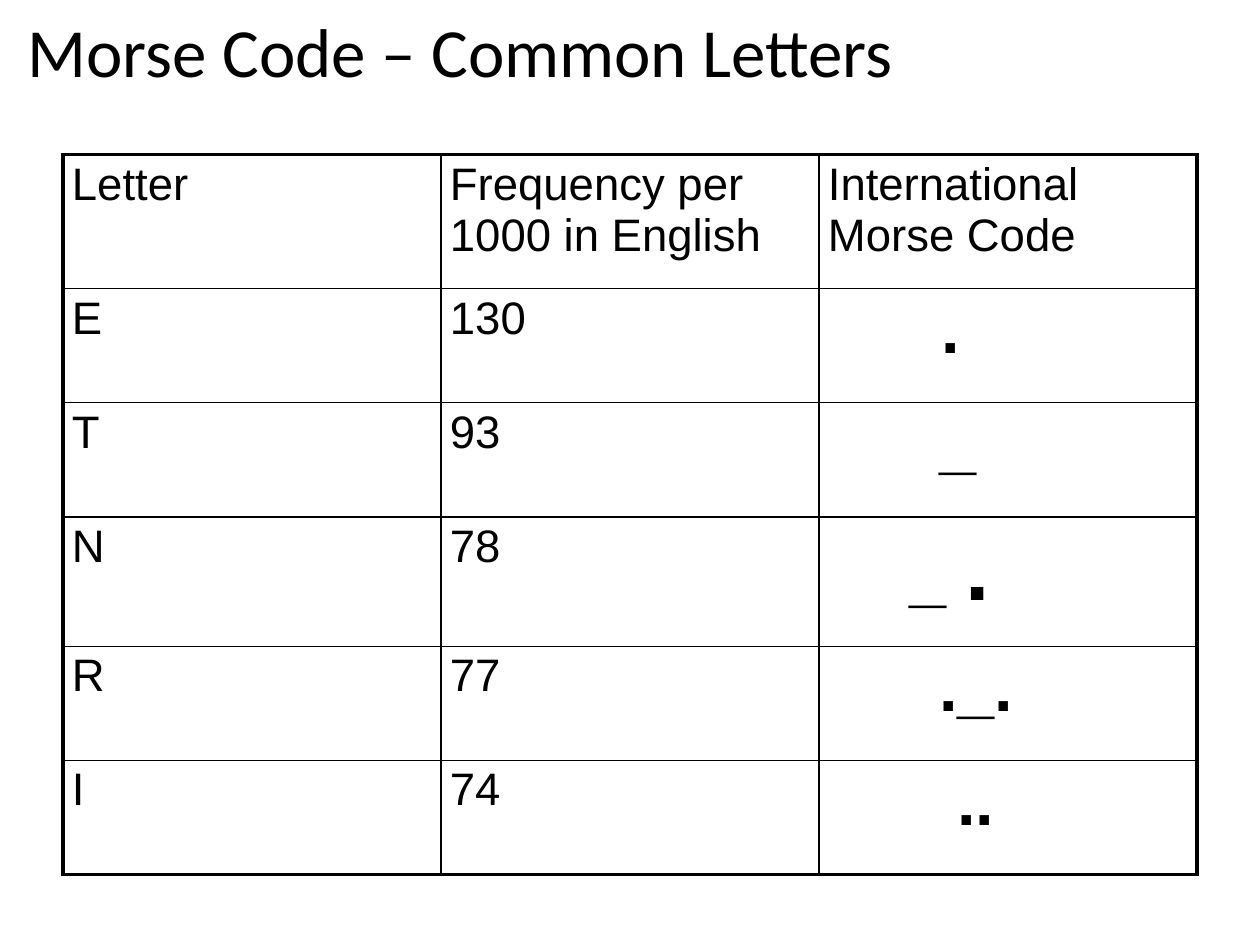
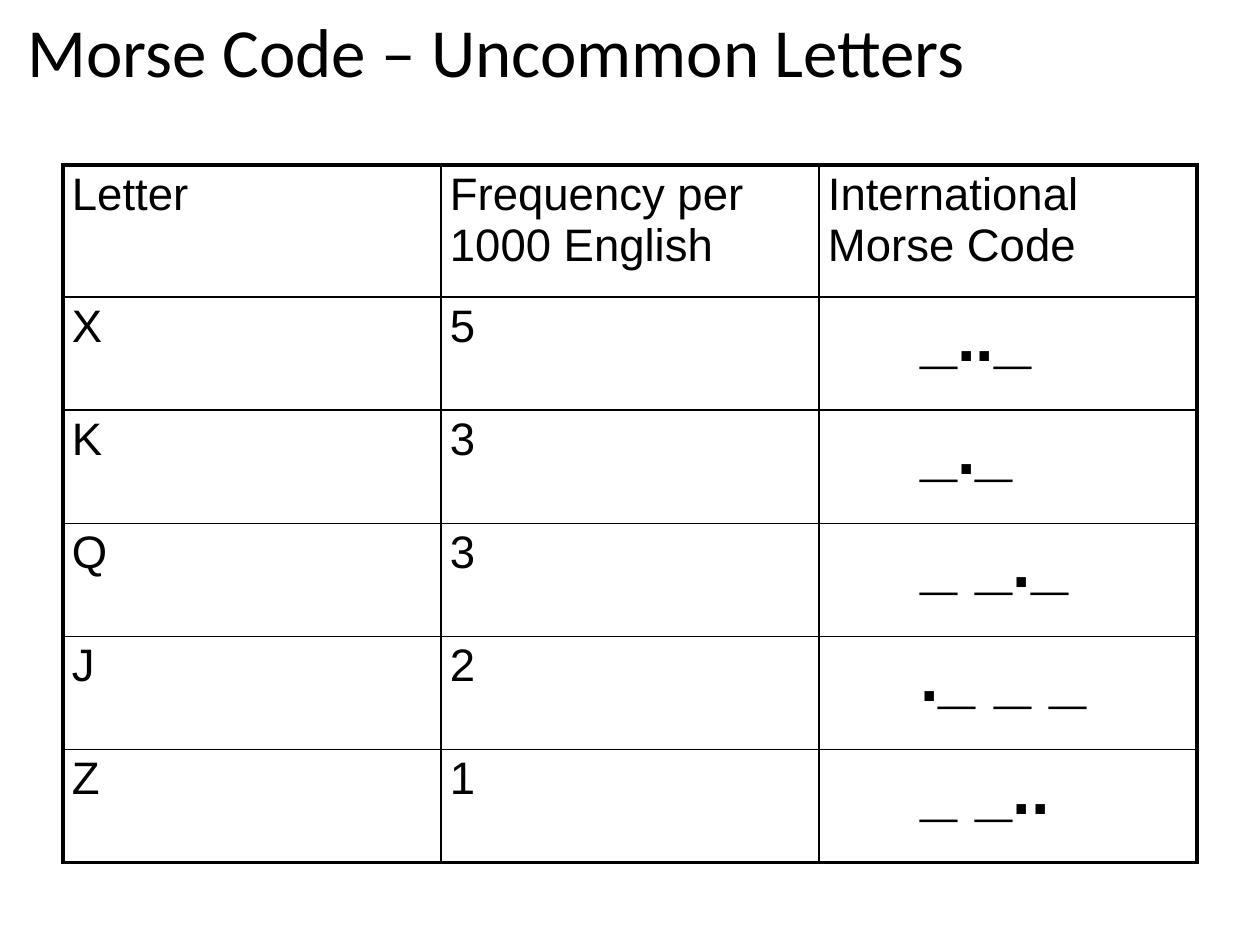
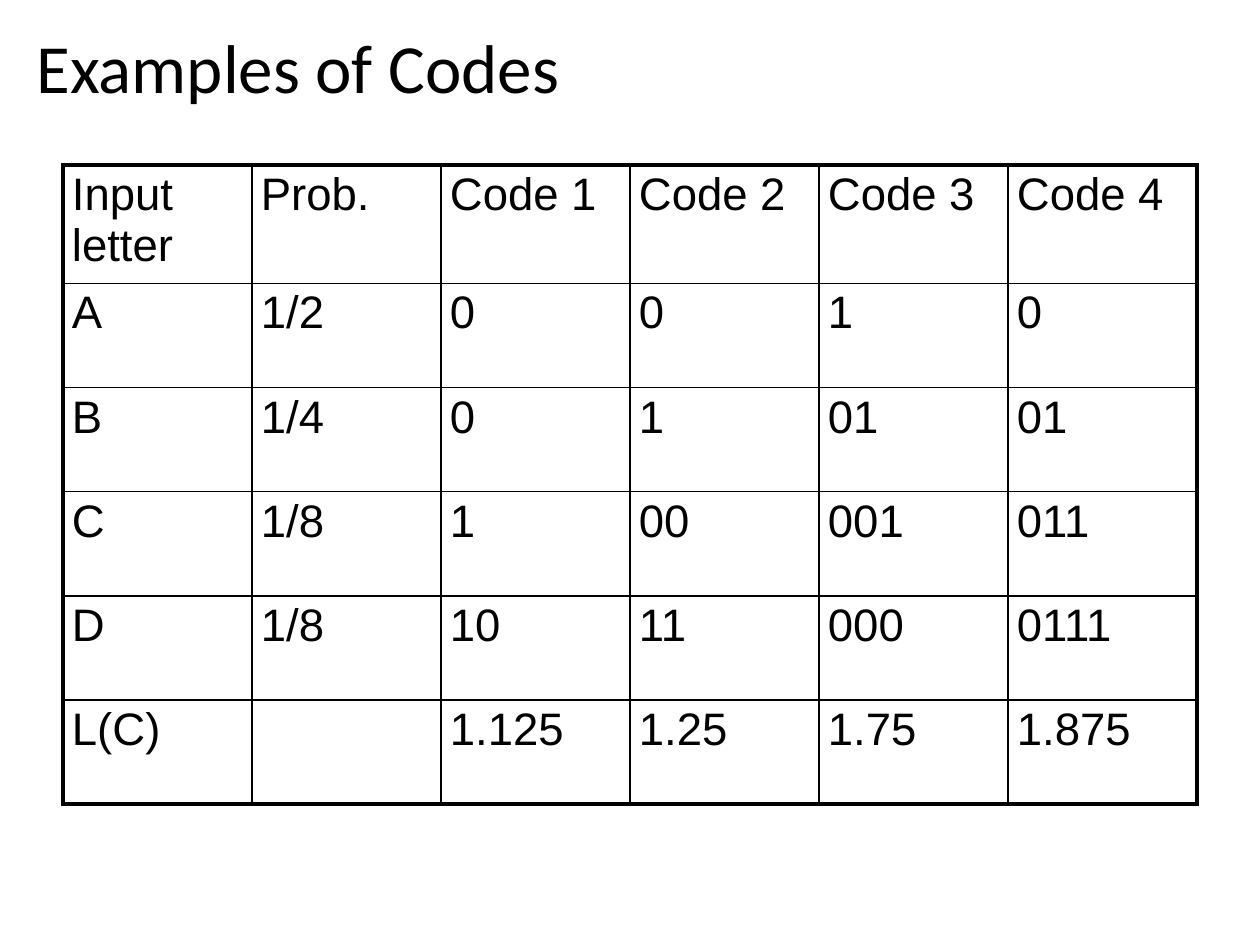
import pptx
import pptx.util
import pptx.dml.color
import pptx.enum.text
import pptx.oxml
import pptx.oxml.ns

Cm, Pt = pptx.util.Cm, pptx.util.Pt
BLACK = pptx.dml.color.RGBColor(0, 0, 0)
WHITE = pptx.dml.color.RGBColor(255, 255, 255)
NS = pptx.oxml.ns.nsdecls("a")

# Table frame and cell insets shared by all slides
LEFT, WIDTH = Cm(1.27), Cm(22.86)
SIDE, EDGE = Cm(0.18), Cm(0.09)
THICK, THIN = Pt(2.25), Pt(1)
BODY, CODE, BIG = Pt(26), Pt(38), Pt(50)

# Each slide: title, title box, table top, row heights, rows (all in cm).
# A Morse cell is a pair: indent in cm and list of (text, size).
HEAD = (0.38, 0, 22.86, 2.03)
NEAR = 1.86
MID = 2.24
slides = [
    ("Morse Code – Common Letters", HEAD, 3.12,
     [2.7, 2.3, 2.3, 2.61, 2.3, 2.3],
     [["Letter", "Frequency per 1000 in English", "International Morse Code"],
      ["E", "130", (2.29, [(".", CODE)])],
      ["T", "93", (MID, [("_", CODE)])],
      ["N", "78", (1.65, [("_ ", CODE), (".", BIG)])],
      ["R", "77", (MID, [("._.", CODE)])],
      ["I", "74", (2.61, [("..", CODE)])]]),
    ("Morse Code – Uncommon Letters", HEAD, 3.33,
     [2.66] + [2.28] * 5,
     [["Letter", "Frequency per 1000 English", "International Morse Code"],
      ["X", "5", (NEAR, [("_.._", CODE)])],
      ["K", "3", (NEAR, [("_._", CODE)])],
      ["Q", "3", (NEAR, [("_ _._", CODE)])],
      ["J", "2", (NEAR, [("._ _ _", CODE)])],
      ["Z", "1", (NEAR, [("_ _..", CODE)])]]),
    ("Examples of Codes", (0.56, -0.48, 23.57, 3.6), 3.33,
     [2.1] * 6,
     [["Input letter", "Prob.", "Code 1", "Code 2", "Code 3", "Code 4"],
      ["A", "1/2", "0", "0", "1", "0"],
      ["B", "1/4", "0", "1", "01", "01"],
      ["C", "1/8", "1", "00", "001", "011"],
      ["D", "1/8", "10", "11", "000", "0111"],
      ["L(C)", "", "1.125", "1.25", "1.75", "1.875"]]),
]


def style(para, face, size):
    para.font.name = face
    para.font.size = size
    para.font.color.rgb = BLACK


def border(cell, sides):
    """Draw the cell's borders; sides maps L, R, T, B to a width."""
    props = cell._tc.get_or_add_tcPr()
    for side, width in sides.items():
        props.append(pptx.oxml.parse_xml(
            f'<a:ln{side} {NS} w="{width}"><a:solidFill>'
            f'<a:srgbClr val="{BLACK}"/></a:solidFill></a:ln{side}>'))


deck = pptx.Presentation()
deck.slide_width, deck.slide_height = Cm(25.4), Cm(19.05)

for title, box, top, highs, rows in slides:
    slide = deck.slides.add_slide(deck.slide_layouts[6])
    slide.background.fill.solid()
    slide.background.fill.fore_color.rgb = WHITE

    # Title
    frame = slide.shapes.add_textbox(*map(Cm, box)).text_frame
    frame.word_wrap = True
    frame.vertical_anchor = pptx.enum.text.MSO_ANCHOR.MIDDLE
    frame.margin_left = frame.margin_right = SIDE
    frame.margin_top = frame.margin_bottom = SIDE
    frame.text = title
    style(frame.paragraphs[0], "Calibri", Pt(39.4))

    # Table
    last_row, last_col = len(rows) - 1, len(rows[0]) - 1
    table = slide.shapes.add_table(
        len(rows), len(rows[0]), LEFT, Cm(top), WIDTH, Cm(sum(highs))).table
    table.first_row = table.horz_banding = False
    for r, (high, row) in enumerate(zip(highs, rows)):
        table.rows[r].height = Cm(high)
        for c, item in enumerate(row):
            cell = table.cell(r, c)
            cell.margin_left = cell.margin_right = SIDE
            cell.margin_top = cell.margin_bottom = EDGE
            border(cell, {"L": THIN if c else THICK,
                          "R": THICK if c == last_col else THIN,
                          "T": THIN if r else THICK,
                          "B": THICK if r == last_row else THIN})
            cell.fill.background()

            # Cell text, with space before of a fifth of a line
            para = cell.text_frame.paragraphs[0]
            props = para._p.get_or_add_pPr()
            props.append(pptx.oxml.parse_xml(
                f'<a:spcBef {NS}><a:spcPct val="20000"/></a:spcBef>'))
            style(para, "Arial", BODY)
            if isinstance(item, str):
                if item:
                    para.add_run().text = item
            else:
                indent, marks = item
                props.set("marL", str(Cm(indent)))
                para.font.bold = True
                for mark, size in marks:
                    run = para.add_run()
                    run.text = mark
                    run.font.size = size

deck.save("out.pptx")
